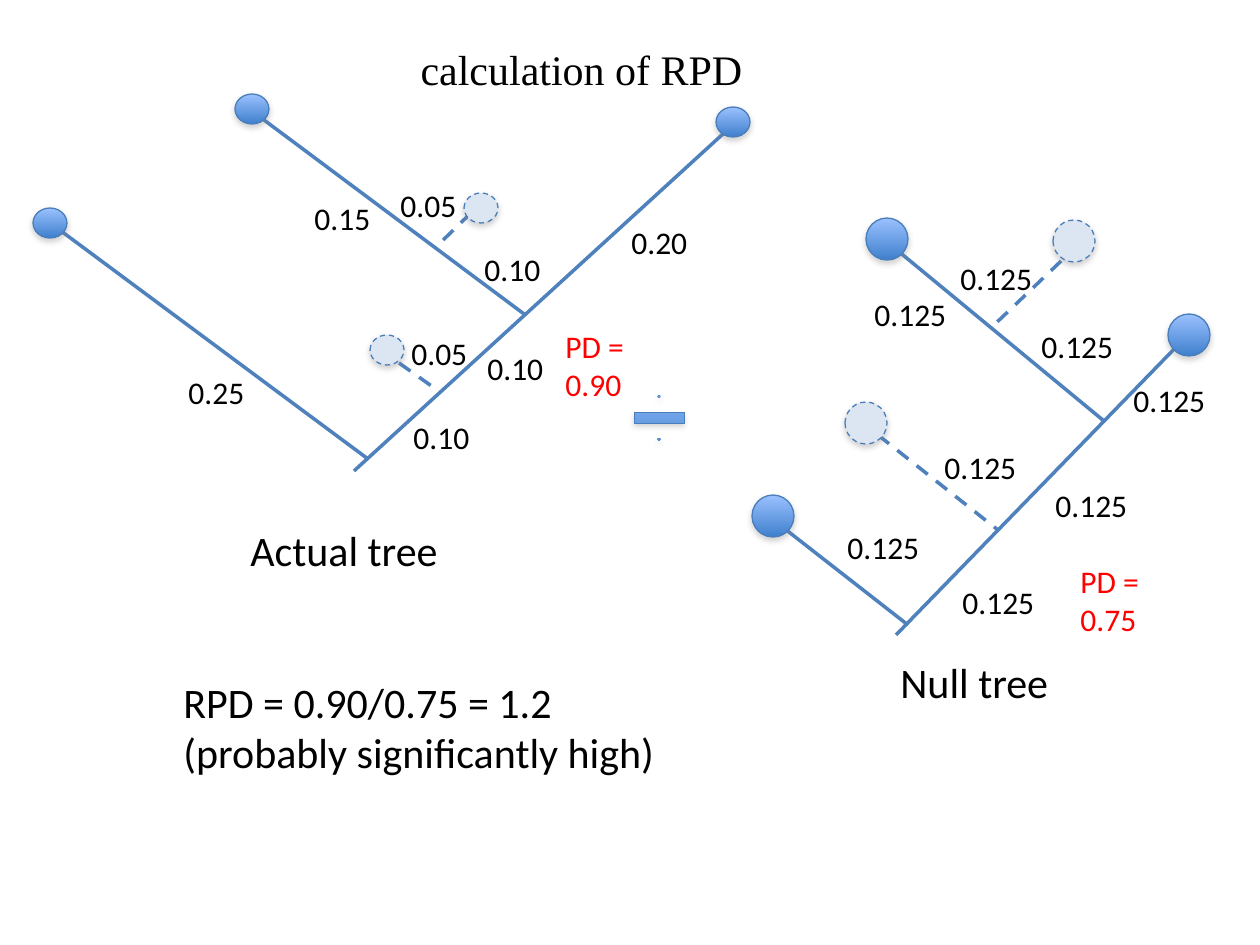
import dataclasses
import typing

import lxml.etree
import pptx
import pptx.dml.color
import pptx.enum.dml
import pptx.enum.shapes
import pptx.enum.text
import pptx.oxml.ns
import pptx.util

SCALE = 914400 / 126
HUES = {
    "black": "000000",
    "red": "FF0000",
    "branch": "4F81BD",
    "edge": "4A7EBB",
    "light": "9BC1FF",
    "dark": "3F80CD",
    "pale": "DCE6F2",
    "shade": "808080",
}
SHAPES = pptx.enum.shapes.MSO_SHAPE
DASH = pptx.enum.dml.MSO_LINE.DASH


@dataclasses.dataclass
class Branch:
    x1: int
    y1: int
    x2: int
    y2: int
    dashed: bool = False


@dataclasses.dataclass
class Node:
    left: int
    top: int
    lost: bool = False


@dataclasses.dataclass
class Label:
    text: str
    left: int
    top: int
    width: int
    height: int = 50
    size: int = 18
    hue: str = "black"
    font: str = "Calibri"


@dataclasses.dataclass
class Tree:
    wide: int
    high: int
    lines: list[Branch]
    nodes: list[Node]
    labels: list[Label]


def px(count: int) -> int:
    return round(count * SCALE)


def hue(name: str) -> pptx.dml.color.RGBColor:
    return pptx.dml.color.RGBColor.from_string(HUES[name])


def tag(parent: typing.Any, name: str, **attrs: str) -> typing.Any:
    return lxml.etree.SubElement(parent, pptx.oxml.ns.qn(name), attrs)


def draw_line(slide: typing.Any, item: Branch) -> None:
    line = slide.shapes.add_connector(
        pptx.enum.shapes.MSO_CONNECTOR.STRAIGHT,
        px(item.x1), px(item.y1), px(item.x2), px(item.y2),
    )
    line.line.color.rgb = hue("branch")
    line.line.width = pptx.util.Pt(2)
    if item.dashed:
        line.line.dash_style = DASH
    tag(line._element.spPr, "a:effectLst")


def draw_shape(slide: typing.Any, kind: typing.Any, left: int, top: int,
               width: int, height: int, lost: bool = False,
               weight: float = 0.75) -> typing.Any:
    shape = slide.shapes.add_shape(kind, px(left), px(top), px(width), px(height))
    if lost:
        shape.fill.solid()
        shape.fill.fore_color.rgb = hue("pale")
        shape.line.dash_style = DASH
    else:
        shape.fill.gradient()
        shape.fill.gradient_angle = 270
        for stop, name, place in zip(shape.fill.gradient_stops, ("light", "dark"), (0, 1)):
            stop.color.rgb = hue(name)
            stop.position = place
    shape.line.color.rgb = hue("edge")
    shape.line.width = pptx.util.Pt(weight)
    shape.shadow.inherit = False
    glow = shape._element.spPr.find(pptx.oxml.ns.qn("a:effectLst"))
    cast = tag(glow, "a:outerShdw", blurRad="40000", dist="23000",
               dir="5400000", rotWithShape="0")
    tone = tag(cast, "a:srgbClr", val=HUES["shade"])
    tag(tone, "a:alpha", val="35000")
    return shape


def set_text(box: typing.Any, item: Label) -> None:
    box.left, box.top = px(item.left), px(item.top)
    box.width, box.height = px(item.width), px(item.height)
    frame = box.text_frame
    frame.text = item.text
    frame.word_wrap = False
    frame.auto_size = pptx.enum.text.MSO_AUTO_SIZE.SHAPE_TO_FIT_TEXT
    frame.vertical_anchor = pptx.enum.text.MSO_ANCHOR.TOP
    for line in frame.paragraphs:
        line.alignment = pptx.enum.text.PP_ALIGN.LEFT
        line.font.name = item.font
        line.font.size = pptx.util.Pt(item.size)
        line.font.color.rgb = hue(item.hue)


def draw_label(slide: typing.Any, item: Label) -> None:
    set_text(slide.shapes.add_textbox(0, 0, 0, 0), item)


def draw_tree(slide: typing.Any, tree: Tree) -> None:
    for line in tree.lines:
        draw_line(slide, line)
    for node in tree.nodes:
        draw_shape(slide, SHAPES.OVAL, node.left, node.top,
                   tree.wide, tree.high, node.lost)
    for label in tree.labels:
        draw_label(slide, label)


NULL = Tree(
    42, 42,
    [Branch(776, 522, 908, 625), Branch(878, 435, 998, 530, True),
     Branch(886, 241, 1104, 421), Branch(1182, 341, 896, 635),
     Branch(1079, 244, 993, 326, True)],
    [Node(752, 495), Node(1168, 314), Node(866, 218),
     Node(1053, 220, True), Node(845, 402, True)],
    [Label("0.125", left, top, 97) for left, top in (
        (835, 522), (950, 577), (1043, 480), (932, 442),
        (948, 253), (1029, 321), (1121, 375), (862, 289))]
    + [Label("PD = 0.75", 1068, 556, 146, hue="red"),
       Label("Null tree", 888, 650, 174, 63, 24)],
)

ACTUAL = Tree(
    34, 30,
    [Branch(57, 228, 368, 459), Branch(399, 363, 440, 392, True),
     Branch(260, 117, 524, 314), Branch(735, 123, 354, 471),
     Branch(471, 213, 437, 246, True)],
    [Node(235, 94), Node(716, 107), Node(33, 208),
     Node(464, 193, True), Node(370, 335, True)],
    [Label(text, left, top, 81) for text, left, top in (
        ("0.10", 401, 412), ("0.10", 475, 343), ("0.25", 176, 367),
        ("0.15", 302, 193), ("0.10", 472, 244), ("0.20", 619, 217),
        ("0.05", 388, 180), ("0.05", 399, 328))]
    + [Label("PD = 0.90", 553, 321, 146, hue="red"),
       Label("Actual tree", 238, 518, 213, 63, 24)],
)

TITLE = Label("calculation of RPD", 408, 37, 358, 63, 24, font="Times New Roman")
RESULT = Label("RPD = 0.90/0.75 = 1.2\n(probably significantly high)",
               171, 670, 498, 113, 24)


def main() -> None:
    deck = pptx.Presentation()
    deck.slide_width, deck.slide_height = px(1260), px(945)
    slide = deck.slides.add_slide(deck.slide_layouts[5])
    set_text(slide.shapes.title, TITLE)
    for tree in (NULL, ACTUAL):
        draw_tree(slide, tree)
    draw_label(slide, RESULT)
    sign = draw_shape(slide, SHAPES.MATH_DIVIDE, 625, 360, 68, 116, weight=0.25)
    for place, share in enumerate((0.09, 0.13, 0)):
        sign.adjustments[place] = share
    deck.save("out.pptx")


if __name__ == "__main__":
    main()
